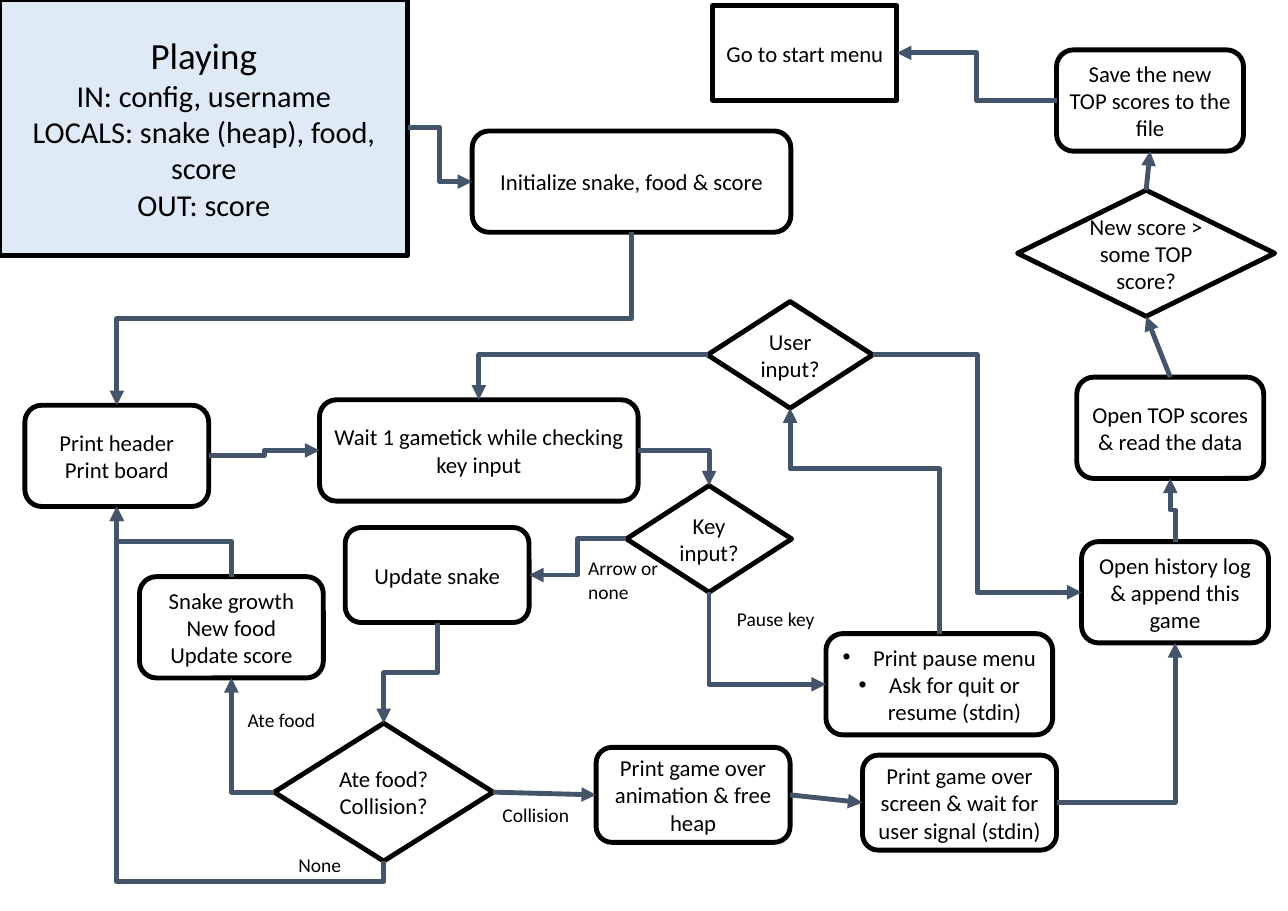
"""Build the flowchart slide of the game's Playing state."""
from lxml.etree import SubElement
from pptx import Presentation
from pptx.dml.color import RGBColor
from pptx.enum.shapes import MSO_CONNECTOR, MSO_SHAPE
from pptx.enum.text import MSO_ANCHOR, MSO_AUTO_SIZE, PP_ALIGN
from pptx.oxml.ns import qn
from pptx.util import Pt

COLORS = {"ink": "000000", "arrow": "44546A", "state": "DEEBF7"}
FONT = "Calibri"
STROKE = Pt(4.5)
TOP, LEFT, BOTTOM, RIGHT = range(4)
BOX, CHOICE, PLAIN = MSO_SHAPE.ROUNDED_RECTANGLE, MSO_SHAPE.FLOWCHART_DECISION, MSO_SHAPE.RECTANGLE

STEPS = {
    "init": (BOX, 436.3, 121, 294.5, 93.6, ["Initialize snake, food & score"]),
    "wait": (BOX, 295.2, 369.4, 294.5, 93.6, ["Wait 1 gametick while checking key input"]),
    "key": (CHOICE, 578.9, 448.6, 152.6, 98.6, ["Key input?"]),
    "pause": (BOX, 763.2, 585.4, 209.5, 93.6, ["Print pause menu", "Ask for quit or resume (stdin)"]),
    "board": (BOX, 23, 374.4, 169.9, 93.6, ["Print header", "Print board"]),
    "growth": (BOX, 128.9, 532.8, 169.9, 93.6, ["Snake growth", "New food", "Update score"]),
    "update": (BOX, 319, 487.4, 169.9, 87.8, ["Update snake"]),
    "collision": (CHOICE, 253.4, 668.2, 202.3, 127.4, ["Ate food? Collision?"]),
    "screen": (BOX, 797, 697.7, 179.3, 87.8, ["Print game over screen & wait for user signal (stdin)"]),
    "history": (BOX, 999.4, 500.4, 172.8, 93.6, ["Open history log & append this game"]),
    "menu": (PLAIN, 658.8, 5, 169.9, 87.8, ["Go to start menu"]),
    "user": (CHOICE, 653.8, 278.6, 152.6, 98.6, ["User input?"]),
    "animation": (BOX, 550.8, 690.5, 179.3, 87.8, ["Print game over animation & free heap"]),
    "scores": (BOX, 995, 348.5, 172.8, 93.6, ["Open TOP scores & read the data"]),
    "save": (BOX, 976.3, 46.1, 172.8, 93.6, ["Save the new TOP scores to the file"]),
    "record": (CHOICE, 940.3, 175.7, 237.6, 116.6, ["New score > some TOP score?"]),
}
ELBOWS = [
    ("playing", RIGHT, "init", LEFT, 0.5),
    ("init", BOTTOM, "board", TOP, 0.5),
    ("wait", RIGHT, "key", TOP, 0.5),
    ("key", BOTTOM, "pause", LEFT, 0.5),
    ("key", LEFT, "update", RIGHT, 0.5),
    ("board", RIGHT, "wait", LEFT, 0.5),
    ("update", BOTTOM, "collision", TOP, 0.5),
    ("screen", RIGHT, "history", BOTTOM, 0.5),
    ("history", TOP, "scores", BOTTOM, 0.5),
    ("collision", LEFT, "growth", BOTTOM, 0.5),
    ("collision", BOTTOM, "board", BOTTOM, -0.058),
    ("growth", TOP, "board", BOTTOM, 0.5),
    ("pause", TOP, "user", BOTTOM, 0.731),
    ("user", LEFT, "wait", TOP, 0.5),
    ("user", RIGHT, "history", LEFT, 0.5),
    ("save", LEFT, "menu", RIGHT, 0.5),
]
STRAIGHTS = [
    ("animation", RIGHT, "screen", LEFT),
    ("collision", RIGHT, "animation", LEFT),
    ("scores", TOP, "record", BOTTOM),
    ("record", TOP, "save", BOTTOM),
]
LABELS = [
    ("Collision", 457.2, 738, 86.4, 28.1),
    ("Ate food", 221.8, 650.9, 86.4, 28.1),
    ("None", 268.6, 784.8, 60.5, 28.1),
    ("Pause key", 673.9, 557.3, 86.4, 28.1),
    ("Arrow or none", 536.4, 510.5, 84.2, 49),
]


def write(frame, lines, sizes, align):
    """Fill a text frame with one paragraph per line."""
    frame.word_wrap = True
    for index, (line, size) in enumerate(zip(lines, sizes)):
        paragraph = frame.paragraphs[0] if index == 0 else frame.add_paragraph()
        paragraph.alignment = align
        run = paragraph.add_run()
        run.text = line
        run.font.name, run.font.size = FONT, Pt(size)
        run.font.color.rgb = RGBColor.from_string(COLORS["ink"])


def add_arrow(kind, x1, y1, x2, y2):
    """Add a connector with an arrowhead at its end."""
    arrow = slide.shapes.add_connector(kind, int(x1), int(y1), int(x2), int(y2))
    arrow.line.color.rgb = RGBColor.from_string(COLORS["arrow"])
    arrow.line.width = STROKE
    SubElement(arrow.line._get_or_add_ln(), qn("a:tailEnd"), type="triangle")
    SubElement(arrow._element.spPr, qn("a:effectLst"))
    return arrow


prs = Presentation()
prs.slide_width, prs.slide_height = Pt(1190.16), Pt(841.68)
slide = prs.slides.add_slide(prs.slide_layouts[5])

playing = slide.shapes.title
playing.left, playing.top, playing.width, playing.height = Pt(0), Pt(-0.7), Pt(376.6), Pt(236.9)
playing.fill.solid()
playing.fill.fore_color.rgb = RGBColor.from_string(COLORS["state"])
playing.line.color.rgb = RGBColor.from_string(COLORS["ink"])
playing.line.width = STROKE
playing.text_frame.auto_size = MSO_AUTO_SIZE.NONE
playing.text_frame.vertical_anchor = MSO_ANCHOR.MIDDLE
write(playing.text_frame,
      ["Playing", "IN: config, username", "LOCALS: snake (heap), food, score", "OUT: score"],
      [34.1, 28, 28, 28], PP_ALIGN.CENTER)

steps = {"playing": playing}
for name, (outline, left, top, width, height, lines) in STEPS.items():
    step = slide.shapes.add_shape(outline, Pt(left), Pt(top), Pt(width), Pt(height))
    step.shadow.inherit = False
    step.fill.background()
    step.line.color.rgb = RGBColor.from_string(COLORS["ink"])
    step.line.width = STROKE
    step.text_frame.vertical_anchor = MSO_ANCHOR.MIDDLE
    write(step.text_frame, lines, [21] * len(lines), PP_ALIGN.CENTER)
    steps[name] = step

for option in steps["pause"].text_frame.paragraphs:
    properties = option._p.get_or_add_pPr()
    properties.set("marL", str(Pt(28.1)))
    properties.set("indent", str(Pt(-28.1)))
    SubElement(properties, qn("a:buFont"), typeface="Arial")
    SubElement(properties, qn("a:buChar"), char="•")

for source, start, target, end, bend in ELBOWS:
    points = []
    for step, side in ((steps[source], start), (steps[target], end)):
        across = {LEFT: 0, RIGHT: 1}.get(side, 0.5)
        down = {TOP: 0, BOTTOM: 1}.get(side, 0.5)
        points.append((step.left + across * step.width, step.top + down * step.height))
    (x1, y1), (x2, y2) = points
    upright = start in (TOP, BOTTOM)
    turn = 1 if y2 > y1 else -1
    if upright:
        cx, cy = (x1 + x2) / 2, (y1 + y2) / 2
        points = [(cx + turn * (y - cy), cy - turn * (x - cx)) for x, y in points]
    elbow = add_arrow(MSO_CONNECTOR.ELBOW, *points[0], *points[1])
    if upright:
        elbow._element.spPr.xfrm.set("rot", str(turn * 5400000 % 21600000))
    geometry = elbow._element.spPr.find(qn("a:prstGeom"))
    if start % 2 != end % 2:
        geometry.set("prst", "bentConnector2")
    else:
        SubElement(geometry.find(qn("a:avLst")), qn("a:gd"), name="adj1", fmla=f"val {round(bend * 100000)}")

for source, start, target, end in STRAIGHTS:
    arrow = add_arrow(MSO_CONNECTOR.STRAIGHT, 0, 0, 0, 0)
    arrow.begin_connect(steps[source], start)
    arrow.end_connect(steps[target], end)

for text, left, top, width, height in LABELS:
    label = slide.shapes.add_textbox(Pt(left), Pt(top), Pt(width), Pt(height))
    write(label.text_frame, [text], [18], PP_ALIGN.LEFT)
    label.text_frame.auto_size = MSO_AUTO_SIZE.SHAPE_TO_FIT_TEXT

prs.save("out.pptx")
